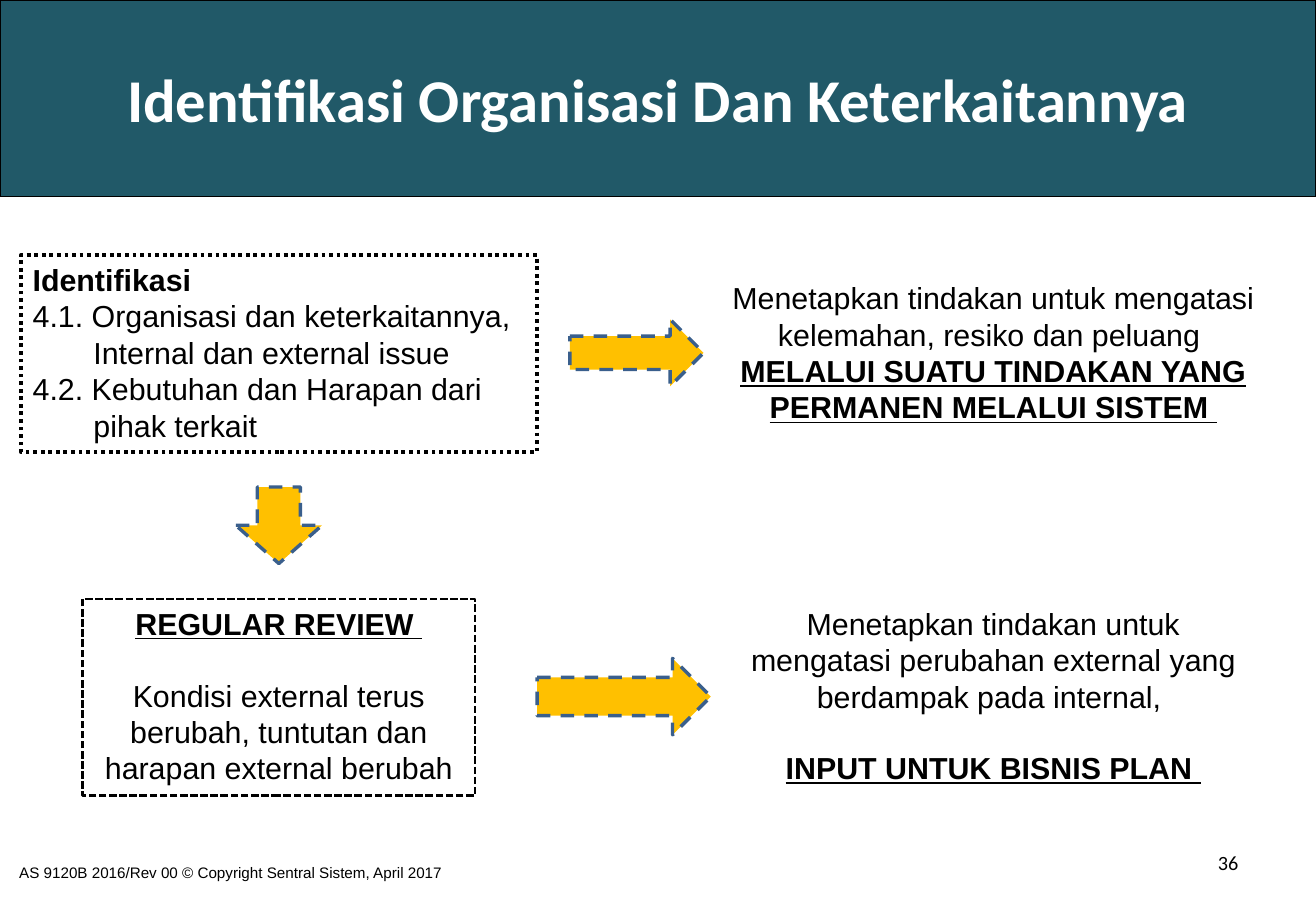
from dataclasses import dataclass

from pptx import Presentation
from pptx.dml.color import RGBColor
from pptx.enum.dml import MSO_LINE
from pptx.enum.shapes import MSO_SHAPE
from pptx.enum.text import MSO_ANCHOR, MSO_AUTO_SIZE, PP_ALIGN
from pptx.util import Emu, Pt

EMU_PER_PX = 9144  # 100 px to the inch
TITLE_ONLY = 5
LEFT, CENTER, RIGHT = PP_ALIGN.LEFT, PP_ALIGN.CENTER, PP_ALIGN.RIGHT
TOP, MIDDLE = MSO_ANCHOR.TOP, MSO_ANCHOR.MIDDLE
DOTTED, SHORT_DASH, DASH = MSO_LINE.ROUND_DOT, MSO_LINE.SQUARE_DOT, MSO_LINE.DASH
RIGHT_ARROW, DOWN_ARROW = MSO_SHAPE.RIGHT_ARROW, MSO_SHAPE.DOWN_ARROW


@dataclass(frozen=True)
class Theme:
    ink: str = "000000"
    banner: str = "215968"
    banner_text: str = "FFFFFF"
    arrow: str = "FFC000"
    arrow_edge: str = "3A5F8C"
    heading_font: str = "Calibri"
    body_font: str = "Arial"
    title_size: int = 36
    body_size: int = 18
    number_size: int = 12
    footer_size: int = 9
    section_gap: int = 21


def px(length):
    return Emu(length * EMU_PER_PX)


def write(paragraph, text, *, size, font, color, bold=False, underline=False,
          align=LEFT, before=0, hanging=0):
    """Fill one paragraph; hanging is the indent of its wrapped lines in px."""
    if hanging:
        properties = paragraph._p.get_or_add_pPr()
        properties.set("marL", str(px(hanging)))
        properties.set("indent", str(-px(hanging)))
    paragraph.alignment = align
    paragraph.space_before = Pt(before)
    run = paragraph.add_run()
    run.text = text
    run.font.name = font
    run.font.size = Pt(size)
    run.font.bold = bold
    run.font.underline = underline
    run.font.color.rgb = RGBColor.from_string(color)


class SlideBuilder:
    def __init__(self, slide, theme):
        self.slide = slide
        self.theme = theme

    def outline(self, shape, color, width, dash=None):
        shape.line.color.rgb = RGBColor.from_string(color)
        shape.line.width = Pt(width)
        if dash:
            shape.line.dash_style = dash

    def fill(self, shape, color):
        shape.fill.solid()
        shape.fill.fore_color.rgb = RGBColor.from_string(color)

    def title(self, text, *bounds):
        theme = self.theme
        banner = self.slide.shapes.title
        banner.left, banner.top, banner.width, banner.height = map(px, bounds)
        self.fill(banner, theme.banner)
        self.outline(banner, theme.ink, 0.75)
        frame = banner.text_frame
        frame.auto_size = MSO_AUTO_SIZE.NONE
        frame.vertical_anchor = MIDDLE
        write(frame.paragraphs[0], text, size=theme.title_size, font=theme.heading_font,
              color=theme.banner_text, bold=True, align=CENTER)

    def text(self, paragraphs, *bounds, border=None, **shared):
        """Add a text box from (text, format) pairs; border is (width, dash)."""
        theme = self.theme
        box = self.slide.shapes.add_textbox(*map(px, bounds))
        if border:
            self.outline(box, theme.ink, *border)
        frame = box.text_frame
        frame.word_wrap = True
        frame.vertical_anchor = TOP
        base = dict(size=theme.body_size, font=theme.body_font, color=theme.ink)
        for index, (content, own) in enumerate(paragraphs):
            paragraph = frame.add_paragraph() if index else frame.paragraphs[0]
            write(paragraph, content, **{**base, **shared, **own})

    def arrow(self, direction, *bounds):
        arrow = self.slide.shapes.add_shape(direction, *map(px, bounds))
        arrow.shadow.inherit = False
        self.fill(arrow, self.theme.arrow)
        self.outline(arrow, self.theme.arrow_edge, 2, DASH)


def main():
    presentation = Presentation()
    presentation.slide_width, presentation.slide_height = px(1083), px(750)
    slide = presentation.slides.add_slide(presentation.slide_layouts[TITLE_ONLY])
    theme = Theme()
    page = SlideBuilder(slide, theme)
    emphasis = dict(bold=True, underline=True)
    after_gap = dict(before=theme.section_gap)

    page.title("Identifikasi Organisasi Dan Keterkaitannya", 0, 0, 1083, 162)

    page.text([
        ("Identifikasi", dict(bold=True, hanging=38)),
        ("4.1. Organisasi dan keterkaitannya, Internal dan external issue", {}),
        ("4.2. Kebutuhan dan Harapan dari pihak terkait", {}),
    ], 17, 210, 425, 162, border=(2.25, DOTTED), hanging=50)
    page.text([
        ("Menetapkan tindakan untuk mengatasi kelemahan, resiko dan peluang ", {}),
        ("MELALUI SUATU TINDAKAN YANG PERMANEN MELALUI SISTEM ", emphasis),
    ], 591, 225, 453, 131, align=CENTER)
    page.text([
        ("REGULAR REVIEW ", emphasis),
        ("Kondisi external terus berubah, tuntutan dan harapan external berubah", after_gap),
    ], 68, 493, 323, 162, border=(1.5, SHORT_DASH), align=CENTER)
    page.text([
        ("Menetapkan tindakan untuk mengatasi perubahan external yang "
         "berdampak pada internal, ", {}),
        ("INPUT UNTUK BISNIS PLAN ", {**emphasis, **after_gap}),
    ], 601, 493, 433, 162, align=CENTER)

    page.arrow(RIGHT_ARROW, 469, 263, 110, 55)
    page.arrow(DOWN_ARROW, 194, 401, 71, 63)
    page.arrow(RIGHT_ARROW, 442, 542, 143, 63)

    page.text([("AS 9120B 2016/Rev 00 © Copyright Sentral Sistem, April 2017", {})],
              6, 706, 707, 29, size=theme.footer_size)
    page.text([("36", {})], 776, 695, 253, 40, size=theme.number_size,
              font=theme.heading_font, align=RIGHT)

    presentation.save("out.pptx")


if __name__ == "__main__":
    main()
